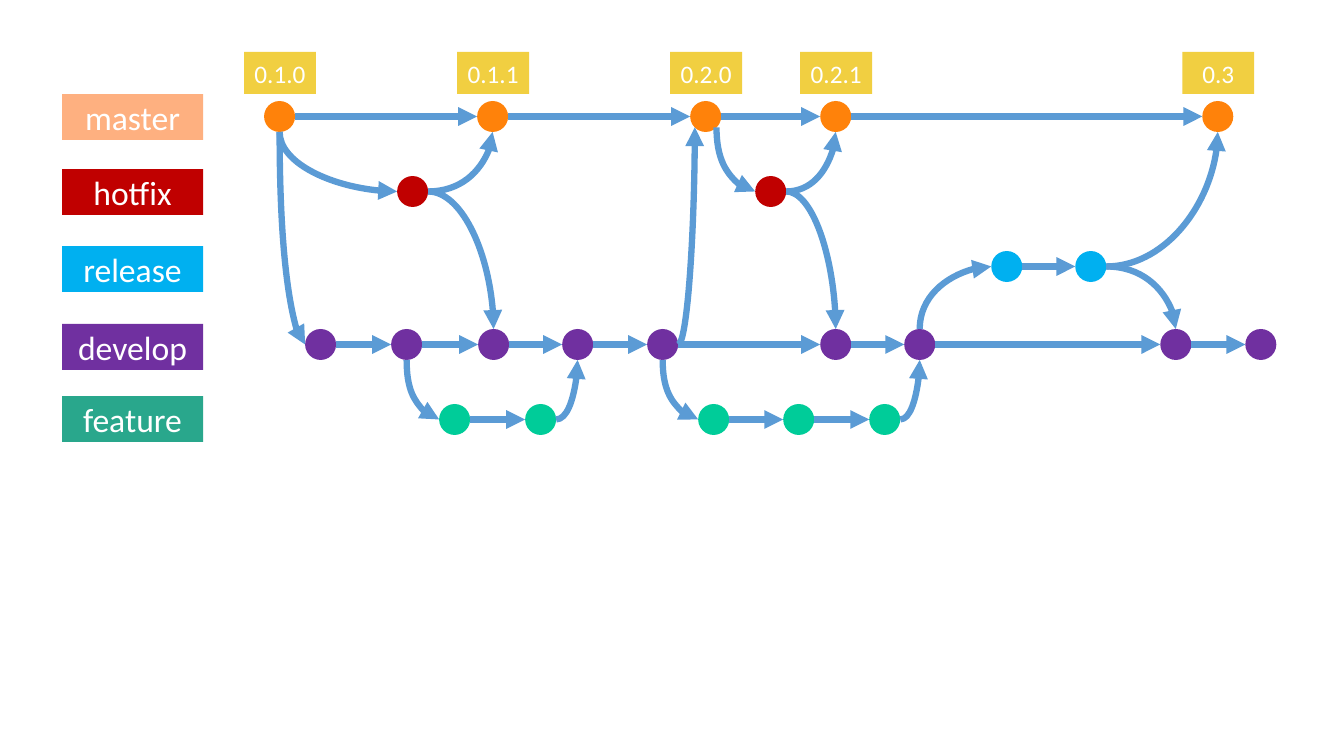
from dataclasses import dataclass
from enum import Enum
from itertools import pairwise

from lxml.etree import SubElement
from pptx import Presentation
from pptx.dml.color import RGBColor
from pptx.enum.shapes import MSO_CONNECTOR, MSO_SHAPE
from pptx.enum.text import MSO_ANCHOR, PP_ALIGN
from pptx.oxml.ns import qn
from pptx.shapes.autoshape import Shape
from pptx.shapes.connector import Connector
from pptx.util import Inches, Pt

PIXEL = Inches(1) / 100.8
COMMIT_SIZE = 31
LABEL_LEFT, LABEL_WIDTH, LABEL_HEIGHT = 62, 141, 46
TAG_TOP, TAG_WIDTH, TAG_HEIGHT = 52, 72, 42
TAG_COLOR, ARROW_COLOR, TEXT_COLOR = "F1CF41", "5B9BD5", "FFFFFF"

Point = tuple[float, float]


class Side(Enum):
    """Where an arrow meets a commit, as fractions of its size."""
    TOP = (0.5, 0)
    LEFT = (0, 0.5)
    RIGHT = (1, 0.5)
    BOTTOM = (0.5, 1)
    LOWER_LEFT = (0.15, 0.85)
    LOWER_RIGHT = (0.85, 0.85)


@dataclass(frozen=True)
class Branch:
    name: str
    label_top: int
    label_color: str
    commit_top: int
    commit_color: str
    chains: list[list[int]]  # left edges of commits joined by straight arrows


@dataclass(frozen=True)
class Curve:
    source: str
    source_left: int
    source_side: Side
    target: str
    target_left: int
    target_side: Side


BRANCHES = [
    Branch("master", 94, "FEB080", 101, "FF820A", [[264, 477, 690, 820, 1202]]),
    Branch("hotfix", 169, "C00000", 176, "C00000", [[397], [755]]),
    Branch("release", 246, "00B0F0", 251, "00B0F0", [[991, 1075]]),
    Branch("develop", 324, "7030A0", 329, "7030A0",
           [[305, 391, 478, 562, 647, 820, 904, 1160, 1245]]),
    Branch("feature", 396, "29A78C", 404, "00CC99", [[439, 525], [698, 783, 869]]),
]
VERSIONS = ["0.1.0", "0.1.1", "0.2.0", "0.2.1", "0.3"]
CURVES = [
    Curve("master", 264, Side.BOTTOM, "develop", 305, Side.LEFT),
    Curve("master", 264, Side.BOTTOM, "hotfix", 397, Side.LEFT),
    Curve("hotfix", 397, Side.RIGHT, "master", 477, Side.BOTTOM),
    Curve("hotfix", 397, Side.RIGHT, "develop", 478, Side.TOP),
    Curve("develop", 391, Side.BOTTOM, "feature", 439, Side.LEFT),
    Curve("feature", 525, Side.RIGHT, "develop", 562, Side.BOTTOM),
    Curve("develop", 647, Side.RIGHT, "master", 690, Side.LOWER_LEFT),
    Curve("develop", 647, Side.BOTTOM, "feature", 698, Side.LEFT),
    Curve("feature", 869, Side.RIGHT, "develop", 904, Side.BOTTOM),
    Curve("master", 690, Side.LOWER_RIGHT, "hotfix", 755, Side.LEFT),
    Curve("hotfix", 755, Side.RIGHT, "master", 820, Side.BOTTOM),
    Curve("hotfix", 755, Side.RIGHT, "develop", 820, Side.TOP),
    Curve("develop", 904, Side.TOP, "release", 991, Side.LEFT),
    Curve("release", 1075, Side.RIGHT, "master", 1202, Side.BOTTOM),
    Curve("release", 1075, Side.RIGHT, "develop", 1160, Side.TOP),
]

deck = Presentation()
deck.slide_width, deck.slide_height = Inches(13.33), Inches(7.5)
page = deck.slides.add_slide(deck.slide_layouts[6])


def emu(*pixels: float) -> list[int]:
    return [round(value * PIXEL) for value in pixels]


def rgb(color: str) -> RGBColor:
    return RGBColor.from_string(color)


def add_block(kind: MSO_SHAPE, left: int, top: int, width: int, height: int,
              color: str) -> Shape:
    block = page.shapes.add_shape(kind, *emu(left, top, width, height))
    block.shadow.inherit = False
    block.fill.solid()
    block.fill.fore_color.rgb = rgb(color)
    block.line.fill.background()
    return block


def add_text_box(text: str, left: int, top: int, width: int, height: int,
                 color: str, size: int) -> None:
    box = add_block(MSO_SHAPE.RECTANGLE, left, top, width, height, color)
    box.text_frame.text = text
    box.text_frame.word_wrap = False
    box.text_frame.vertical_anchor = MSO_ANCHOR.MIDDLE
    para = box.text_frame.paragraphs[0]
    para.alignment = PP_ALIGN.CENTER
    font = para.runs[0].font
    font.name, font.size = "Calibri", Pt(size)
    font.color.rgb = rgb(TEXT_COLOR)


def add_arrow(kind: MSO_CONNECTOR, start: Point, end: Point) -> Connector:
    arrow = page.shapes.add_connector(kind, *emu(*start, *end))
    arrow.line.color.rgb = rgb(ARROW_COLOR)
    arrow.line.width = Pt(4.5)
    SubElement(arrow.line._get_or_add_ln(), qn("a:tailEnd"), type="triangle")
    SubElement(arrow._element.spPr, qn("a:effectLst"))
    return arrow


def add_curve(start: Point, end: Point, vertical_first: bool) -> None:
    """Draw a quarter bend; a vertical start is a horizontal one turned by 90 degrees."""
    degrees = 0
    if vertical_first:
        (x1, y1), (x2, y2) = start, end
        middle_x, middle_y = (x1 + x2) / 2, (y1 + y2) / 2
        half_width, half_height = abs(y2 - y1) / 2, (x2 - x1) / 2
        degrees = 270 if y2 > y1 else 90
        if y2 < y1:
            half_height = -half_height
        start = (middle_x + half_width, middle_y - half_height)
        end = (middle_x - half_width, middle_y + half_height)
    properties = add_arrow(MSO_CONNECTOR.CURVE, start, end)._element.spPr
    properties.find(qn("a:prstGeom")).set("prst", "curvedConnector2")
    if degrees:
        properties.find(qn("a:xfrm")).set("rot", str(degrees * 60000))


def commit_point(branch: Branch, left: int, side: Side) -> Point:
    across, down = side.value
    return left + across * COMMIT_SIZE, branch.commit_top + down * COMMIT_SIZE


# Branch labels, commits and the straight arrows between them
for branch in BRANCHES:
    add_text_box(branch.name, LABEL_LEFT, branch.label_top, LABEL_WIDTH, LABEL_HEIGHT,
                 branch.label_color, 24)
    for chain in branch.chains:
        for left in chain:
            add_block(MSO_SHAPE.OVAL, left, branch.commit_top, COMMIT_SIZE, COMMIT_SIZE,
                      branch.commit_color)
        for left, next_left in pairwise(chain):
            add_arrow(MSO_CONNECTOR.STRAIGHT, commit_point(branch, left, Side.RIGHT),
                      commit_point(branch, next_left, Side.LEFT))

# Version tags centred above the master commits
for version, left in zip(VERSIONS, BRANCHES[0].chains[0]):
    add_text_box(version, left + (COMMIT_SIZE - TAG_WIDTH) // 2 + 1, TAG_TOP,
                 TAG_WIDTH, TAG_HEIGHT, TAG_COLOR, 18)

# Curved arrows for branching and merging
branch_by_name = {branch.name: branch for branch in BRANCHES}
for curve in CURVES:
    add_curve(commit_point(branch_by_name[curve.source], curve.source_left, curve.source_side),
              commit_point(branch_by_name[curve.target], curve.target_left, curve.target_side),
              vertical_first=curve.source_side is not Side.RIGHT)

deck.save("out.pptx")
